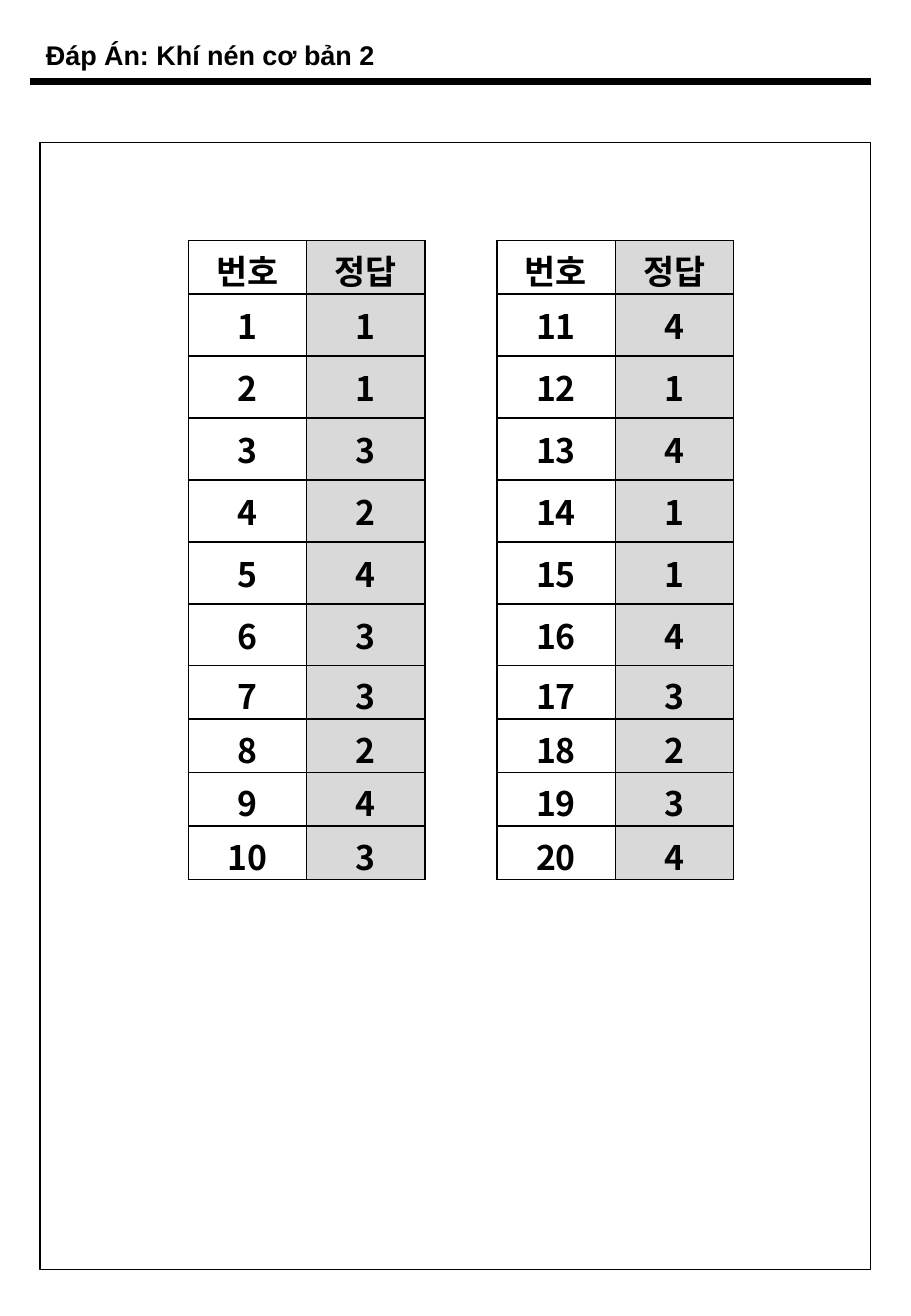
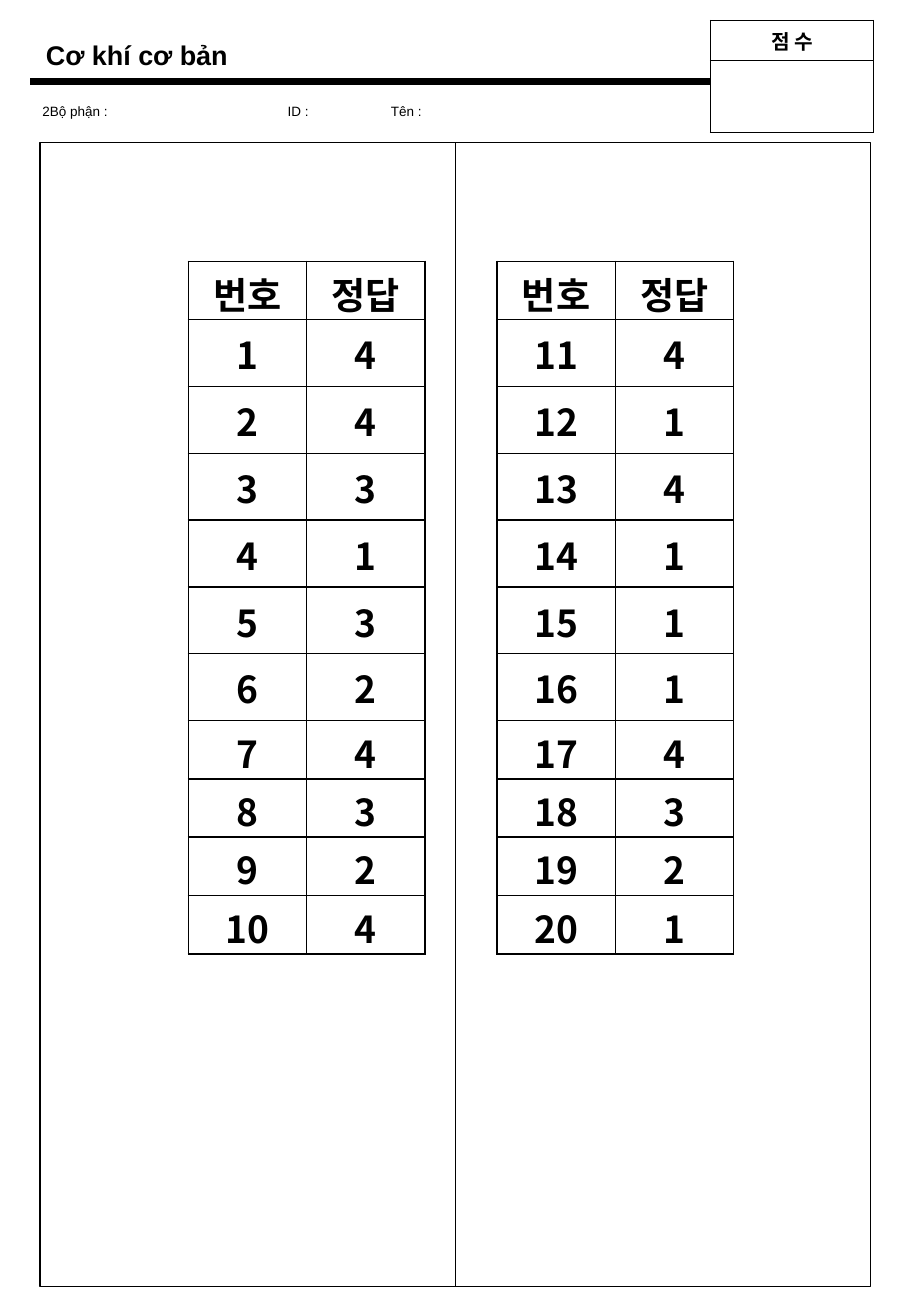
"""Build two answer-key sheets with a shared header and answer tables."""
from lxml.etree import SubElement
from pptx import Presentation
from pptx.dml.color import RGBColor
from pptx.enum.shapes import MSO_CONNECTOR, MSO_SHAPE
from pptx.enum.text import MSO_ANCHOR, PP_ALIGN
from pptx.oxml.ns import qn
from pptx.util import Inches, Pt

COLORS = {"ink": "000000", "paper": "FFFFFF", "shade": "D9D9D9"}
LATIN, KOREAN = "Arial", "Noto Sans CJK KR"
HEADERS = ("번호", "정답")
FIELDS = ("2Bộ phận :", "ID :", "Tên :")
FIELD_TABS = (2.02, 2.87)
SCORE_LABEL = "점 수"
TABLE_LEFTS = (1.55, 4.09)
COL_WIDTH = 0.975
TALL_ROWS = range(1, 7)
FRAME_LEFT, FRAME_TOP, FRAME_WIDTH = 0.33, 1.17, 6.84

SHEETS = [
    {
        "title": "Đáp Án: Khí nén cơ bản 2", "title_width": 2.94,
        "answers": [(1, 1, 3, 2, 4, 3, 3, 2, 4, 3), (4, 1, 4, 1, 1, 4, 3, 2, 3, 4)],
        "top": 1.98, "size": 20, "tall": 0.51, "short": 0.44, "inset": 0.05,
        "fill": "shade", "frames": 1, "frame_height": 9.28, "form": False,
    },
    {
        "title": "Cơ khí cơ bản", "title_width": 1.78,
        "answers": [(4, 4, 3, 1, 3, 2, 4, 3, 2, 4), (4, 1, 4, 1, 1, 1, 4, 3, 2, 1)],
        "top": 2.15, "size": 22, "tall": 0.55, "short": 0.48, "inset": 0.06,
        "fill": "paper", "frames": 2, "frame_height": 9.42, "form": True,
    },
]


def rgb(name):
    return RGBColor.from_string(COLORS[name])


def add_run(p, text, size, font, bold=False):
    r = p.add_run()
    r.text = text
    r.font.size, r.font.name, r.font.bold = Pt(size), font, bold
    r.font.color.rgb = rgb("ink")
    if font == KOREAN:
        SubElement(r.font._element, qn("a:ea"), typeface=font)


def add_text(s, box, text, size, bold=False, wrap=False):
    tf = s.shapes.add_textbox(*map(Inches, box)).text_frame
    tf.word_wrap = wrap
    p = tf.paragraphs[0]
    add_run(p, text, size, LATIN, bold)
    return p


def set_tabs(p, stops):
    tabs = SubElement(p._p.get_or_add_pPr(), qn("a:tabLst"))
    for stop in stops:
        SubElement(tabs, qn("a:tab"), pos=str(Inches(stop)), algn="l")


def style_cell(cell, fill, top, bottom):
    tc_pr = cell._tc.get_or_add_tcPr()
    for side in ("lnL", "lnR", "lnT", "lnB"):
        ln = SubElement(tc_pr, qn(f"a:{side}"), w=str(Pt(1)))
        solid = SubElement(ln, qn("a:solidFill"))
        SubElement(solid, qn("a:srgbClr"), val=COLORS["ink"])
    if fill:
        cell.fill.solid()
        cell.fill.fore_color.rgb = rgb(fill)
    else:
        cell.fill.background()
    cell.margin_top, cell.margin_bottom = Inches(top), Inches(bottom)


def add_grid(s, left, top, col_widths, row_heights):
    box = (left, top, sum(col_widths), sum(row_heights))
    table = s.shapes.add_table(len(row_heights), len(col_widths),
                               *map(Inches, box)).table
    table.first_row = table.horz_banding = False
    for col, width in zip(table.columns, col_widths):
        col.width = Inches(width)
    for row, height in zip(table.rows, row_heights):
        row.height = Inches(height)
    return table


def fill_cell(cell, text, size):
    p = cell.text_frame.paragraphs[0]
    p.alignment = PP_ALIGN.CENTER
    add_run(p, text, size, KOREAN, True)


def add_answers(s, sheet):
    first = 1
    for left, answers in zip(TABLE_LEFTS, sheet["answers"]):
        rows = [HEADERS, *enumerate(answers, first)]
        first += len(answers)
        heights = [sheet["tall" if i in TALL_ROWS else "short"] for i in range(len(rows))]
        table = add_grid(s, left, sheet["top"], [COL_WIDTH] * 2, heights)
        for i, row in enumerate(rows):
            top, bottom = (sheet["inset"], 0.05) if i in TALL_ROWS else (0.04, 0)
            for j, value in enumerate(row):
                cell = table.cell(i, j)
                style_cell(cell, sheet["fill"] if j else None, top, bottom)
                fill_cell(cell, str(value), sheet["size"])


def add_header_rule(s):
    rule = s.shapes.add_connector(MSO_CONNECTOR.STRAIGHT, Inches(0.25), Inches(0.67),
                                  Inches(7.17), Inches(0.67))
    rule.line.color.rgb = rgb("ink")
    rule.line.width = Pt(4.5)
    SubElement(rule._element.spPr, qn("a:effectLst"))


def add_frames(s, count, height):
    width = FRAME_WIDTH / count
    for i in range(count):
        box = (FRAME_LEFT + i * width, FRAME_TOP, width, height)
        sp = s.shapes.add_shape(MSO_SHAPE.RECTANGLE, *map(Inches, box))
        sp.shadow.inherit = False
        sp.fill.background()
        sp.line.color.rgb = rgb("ink")
        sp.line.width = Pt(0.75)


def add_form(s):
    p = add_text(s, (0.25, 0.8, 3.5, 0.24), "\t".join(FIELDS), 8, wrap=True)
    set_tabs(p, FIELD_TABS)
    table = add_grid(s, 5.85, 0.17, [1.34], [0.33, 0.59])
    for i in range(2):
        style_cell(table.cell(i, 0), "paper", 0.03, 0.03)
    label = table.cell(0, 0)
    label.vertical_anchor = MSO_ANCHOR.MIDDLE
    fill_cell(label, SCORE_LABEL, 12)


def main():
    prs = Presentation()
    prs.slide_width, prs.slide_height = Inches(7.5), Inches(10.83)
    for sheet in SHEETS:
        s = prs.slides.add_slide(prs.slide_layouts[6])
        add_header_rule(s)
        add_frames(s, sheet["frames"], sheet["frame_height"])
        if sheet["form"]:
            add_form(s)
        add_text(s, (0.28, 0.27, sheet["title_width"], 0.37), sheet["title"], 16, True)
        add_answers(s, sheet)
    prs.save("out.pptx")


if __name__ == "__main__":
    main()
